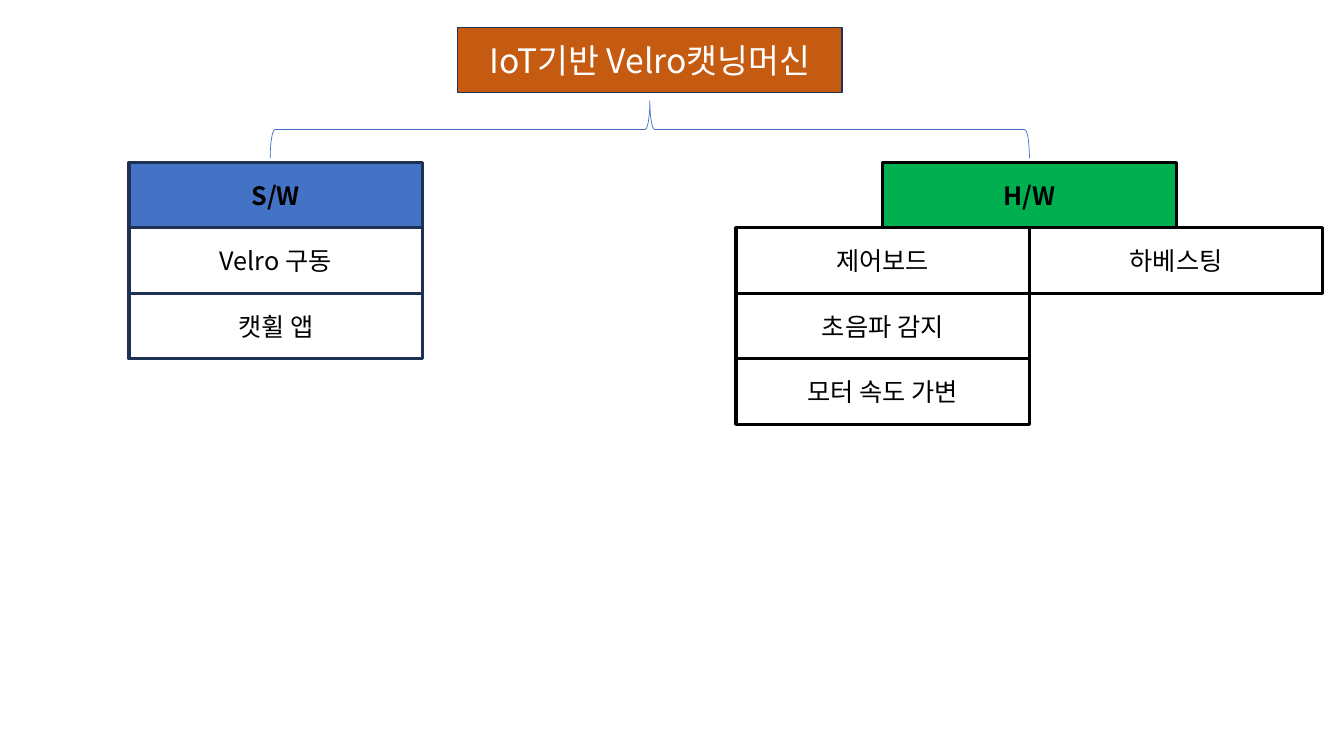
from dataclasses import dataclass

from lxml.etree import SubElement
from pptx import Presentation
from pptx.dml.color import RGBColor as RGB
from pptx.enum.shapes import MSO_SHAPE as Preset
from pptx.enum.text import MSO_ANCHOR as Anchor, MSO_AUTO_SIZE as AutoSize, PP_ALIGN as Align
from pptx.oxml.ns import qn
from pptx.util import Inches, Pt


@dataclass(frozen=True)
class Theme:
    font: str = "Noto Sans CJK KR"
    title_size: int = 24
    body_size: int = 18
    orange: str = "C55A11"
    blue: str = "4472C4"
    green: str = "00B050"
    navy: str = "1E3256"
    black: str = "000000"
    white: str = "FFFFFF"


class Diagram:
    box_width, box_height = 2.91, 0.65

    def __init__(self, slide, theme):
        self.slide, self.theme = slide, theme

    def outline(self, shape, color, width):
        shape.line.color.rgb = RGB.from_string(color)
        shape.line.width = Pt(width)

    def paint(self, shape, fill):
        if fill:
            shape.fill.solid()
            shape.fill.fore_color.rgb = RGB.from_string(fill)
        else:
            shape.fill.background()

    def label(self, shape, text, size, color, bold=False):
        frame = shape.text_frame
        frame.text = text
        frame.word_wrap = True
        frame.auto_size = AutoSize.NONE
        frame.vertical_anchor = Anchor.MIDDLE
        paragraph = frame.paragraphs[0]
        paragraph.alignment = Align.CENTER
        for run in paragraph.runs:
            run.font.size = Pt(size)
            run.font.bold = bold
            run.font.color.rgb = RGB.from_string(color)
            run.font.name = self.theme.font
            # Korean glyphs take the East Asian typeface
            SubElement(run._r.get_or_add_rPr(), qn("a:ea"), typeface=self.theme.font)

    def title(self, text, left, top, width, height):
        title = self.slide.shapes.title
        title.left, title.top = Inches(left), Inches(top)
        title.width, title.height = Inches(width), Inches(height)
        self.paint(title, self.theme.orange)
        self.outline(title, self.theme.navy, 1)
        self.label(title, text, self.theme.title_size, self.theme.white)

    def box(self, text, left, top, line, fill=None):
        box = self.slide.shapes.add_shape(
            Preset.RECTANGLE, Inches(left), Inches(top),
            Inches(self.box_width), Inches(self.box_height))
        box.shadow.inherit = False
        self.paint(box, fill)
        self.outline(box, line, 2.25)
        self.label(box, text, self.theme.body_size, self.theme.black, bold=bool(fill))

    def column(self, items, left, top, line):
        for row, text in enumerate(items):
            self.box(text, left, top + row * self.box_height, line)

    def brace(self, left, top, width, height):
        # A left brace turned a quarter keeps its centre
        brace = self.slide.shapes.add_shape(
            Preset.LEFT_BRACE,
            Inches(left + (width - height) / 2), Inches(top + (height - width) / 2),
            Inches(height), Inches(width))
        brace.rotation = 90
        brace.shadow.inherit = False
        self.paint(brace, None)
        self.outline(brace, self.theme.blue, 0.5)


def main():
    presentation = Presentation()
    presentation.slide_width, presentation.slide_height = Inches(13.33), Inches(7.5)
    theme = Theme()
    diagram = Diagram(presentation.slides.add_slide(presentation.slide_layouts[5]), theme)

    header_top = 1.61
    items_top = header_top + diagram.box_height
    software_left, hardware_left = 1.28, 7.3
    harvesting_left = hardware_left + diagram.box_width

    # Root of the tree
    diagram.title("IoT기반 Velro캣닝머신", 4.54, 0.27, 3.81, 0.65)

    # Software branch
    diagram.box("S/W", software_left, header_top, theme.navy, theme.blue)
    diagram.column(["Velro 구동", "캣휠 앱"], software_left, items_top, theme.navy)

    # Hardware branch, its header centred over two columns
    diagram.box("H/W", hardware_left + diagram.box_width / 2, header_top,
                theme.black, theme.green)
    diagram.column(["제어보드", "초음파 감지", "모터 속도 가변"],
                   hardware_left, items_top, theme.black)
    diagram.column(["하베스팅"], harvesting_left, items_top, theme.black)

    # Brace from the root to both branches
    diagram.brace(2.68, 1, harvesting_left - 2.68, 0.57)

    presentation.save("out.pptx")


if __name__ == "__main__":
    main()
